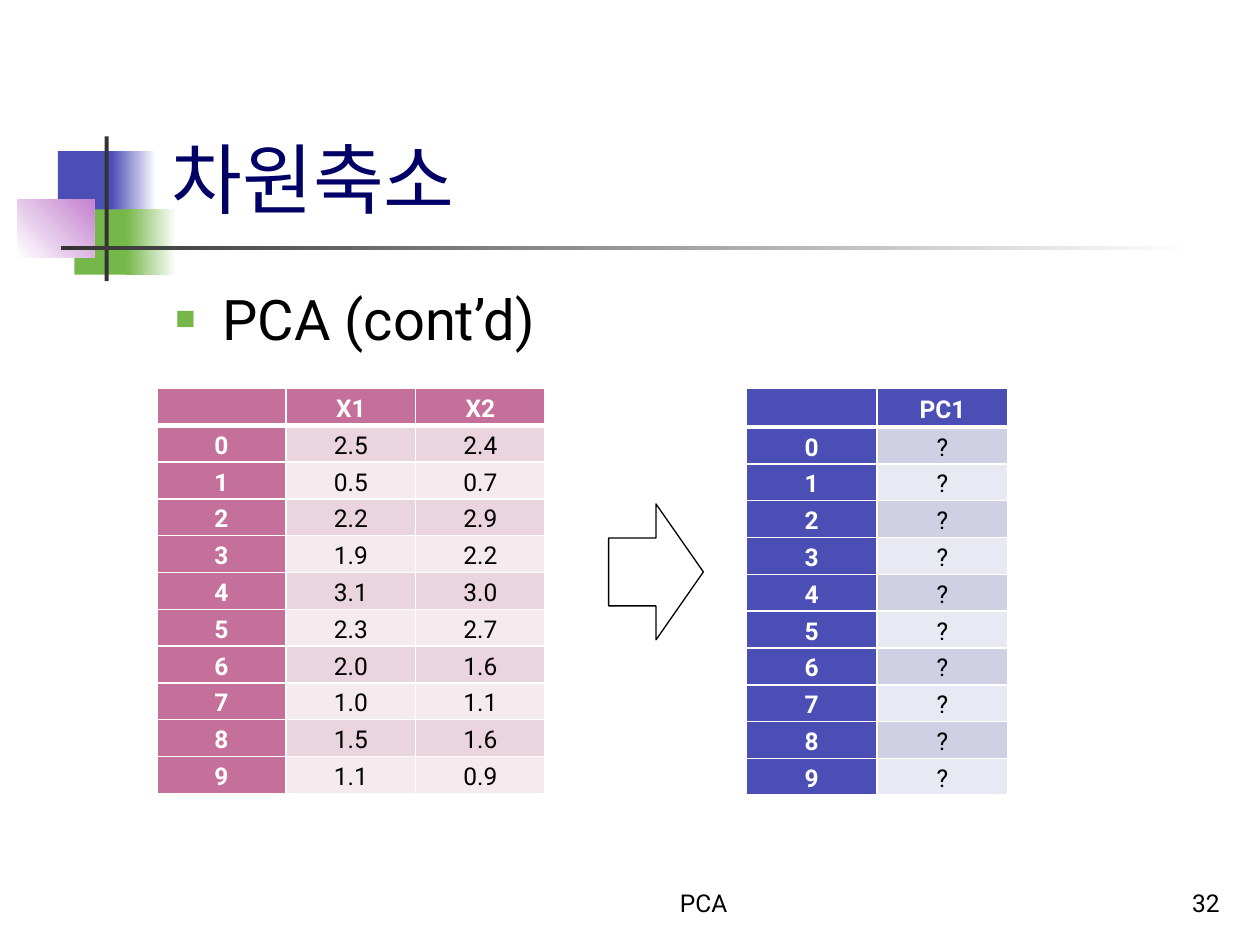
import pptx
import pptx.util
import pptx.dml.color
import pptx.enum.shapes
import pptx.enum.text
import pptx.oxml
import pptx.oxml.ns
from lxml import etree

Cm = pptx.util.Cm
Pt = pptx.util.Pt
qn = pptx.oxml.ns.qn
Shape = pptx.enum.shapes.MSO_SHAPE
Align = pptx.enum.text.PP_ALIGN
Anchor = pptx.enum.text.MSO_ANCHOR

BLUE, GREEN, ROSE, LILAC = "4B4EB5", "76B749", "C4709A", "C481CF"
NAVY, DARK, BLACK, WHITE = "000066", "333333", "000000", "FFFFFF"


def color(text):
    return pptx.dml.color.RGBColor.from_string(text)


def border(cell, side, width):
    line = etree.SubElement(cell._tc.get_or_add_tcPr(), qn("a:ln" + side),
                            w=str(Pt(width)))
    fill = etree.SubElement(line, qn("a:solidFill"))
    etree.SubElement(fill, qn("a:srgbClr"), val=WHITE)


class Deck:
    """Holds the font and the current slide."""

    def __init__(self, font):
        self.font = font
        self.file = pptx.Presentation()
        self.file.slide_width = Cm(25.4)
        self.file.slide_height = Cm(19.05)
        self.slide = self.file.slides.add_slide(self.file.slide_layouts[1])

    def style(self, para, text, size, ink, align=Align.LEFT, bold=False):
        """Fill a paragraph with formatted text."""
        para.text = text
        para.alignment = align
        for run in para.runs:
            run.font.name = self.font
            run.font.size = Pt(size)
            run.font.bold = bold
            run.font.color.rgb = color(ink)

    def place(self, holder, box):
        holder.left, holder.top, holder.width, holder.height = map(Cm, box)
        holder.text_frame.auto_size = pptx.enum.text.MSO_AUTO_SIZE.NONE

    def title(self, text, box):
        holder = self.slide.shapes.title
        self.place(holder, box)
        holder.text_frame.vertical_anchor = Anchor.BOTTOM
        self.style(holder.text_frame.paragraphs[0], text, 44, NAVY)

    def body(self, text, box):
        holder = self.slide.placeholders[1]
        self.place(holder, box)
        para = holder.text_frame.paragraphs[0]
        self.style(para, text, 32, BLACK)
        props = para._p.get_or_add_pPr()
        props.set("marL", str(Cm(0.95)))
        props.set("indent", str(-Cm(0.95)))
        tint = etree.SubElement(props, qn("a:buClr"))
        etree.SubElement(tint, qn("a:srgbClr"), val=GREEN)
        etree.SubElement(props, qn("a:buSzPct"), val="60000")
        etree.SubElement(props, qn("a:buChar"), char="■")

    def label(self, text, box, align):
        frame = self.slide.shapes.add_textbox(*map(Cm, box)).text_frame
        frame.word_wrap = True
        frame.vertical_anchor = Anchor.BOTTOM
        self.style(frame.paragraphs[0], text, 14, BLACK, align)

    def block(self, box, start, end=None, angle=0):
        """Rectangle in one colour, or fading from start to end."""
        shape = self.slide.shapes.add_shape(Shape.RECTANGLE, *map(Cm, box))
        shape.shadow.inherit = False
        shape.line.fill.background()
        if end is None:
            shape.fill.solid()
            shape.fill.fore_color.rgb = color(start)
            return
        shape.fill.gradient()
        shape.fill.gradient_angle = angle
        for stop, tint in zip(shape.fill.gradient_stops, (start, end)):
            stop.color.rgb = color(tint)

    def arrow(self, box):
        shape = self.slide.shapes.add_shape(Shape.RIGHT_ARROW, *map(Cm, box))
        shape.shadow.inherit = False
        shape.fill.background()
        shape.line.color.rgb = color(BLACK)
        shape.line.width = Pt(0.75)

    def cell(self, cell, text, fill, head, edges):
        for side, width in zip("LRTB", edges):
            border(cell, side, width)
        cell.fill.solid()
        cell.fill.fore_color.rgb = color(fill)
        cell.vertical_anchor = Anchor.MIDDLE
        cell.margin_left = cell.margin_right = Cm(0.03)
        cell.margin_top = cell.margin_bottom = Cm(0.03)
        para = cell.text_frame.paragraphs[0]
        self.style(para, text, 14, WHITE if head else BLACK,
                   Align.CENTER, head)
        para.line_spacing = 1.15
        if not text:
            etree.SubElement(para._p, qn("a:endParaRPr"), sz="1400")

    def table(self, rows, left, top, wide, highs, main, bands):
        """Numbered table; highs are the header and row heights."""
        first, rest = highs
        count, cols = len(rows), len(rows[0])
        grid = self.slide.shapes.add_table(
            count, cols, Cm(left), Cm(top), Cm(wide * cols),
            Cm(first + rest * (count - 1))).table
        grid.first_col = True
        for col in grid.columns:
            col.width = Cm(wide)
        for i, row in enumerate(rows):
            grid.rows[i].height = Cm(rest if i else first)
            edges = (1, 1, 3 if i == 1 else 1, 1 if i else 3)
            for j, text in enumerate(row):
                head = i == 0 or j == 0
                fill = main if head else bands[(i - 1) % 2]
                self.cell(grid.cell(i, j), text, fill, head, edges)


def number(head, rows):
    """Put a header on top and a running index in front."""
    return [["", *head]] + [[str(i), *row] for i, row in enumerate(rows)]


def main():
    deck = Deck("Roboto")

    deck.block((1.17, 3.05, 1.22, 1.32), BLUE)
    deck.block((2.24, 3.05, 0.91, 1.32), BLUE, WHITE)
    deck.block((1.5, 4.22, 1.17, 1.32), GREEN)
    deck.block((2.54, 4.22, 1.02, 1.32), GREEN, WHITE)
    deck.block((0.35, 4.02, 1.55, 1.18), WHITE, LILAC, 45)
    deck.block((2.11, 2.75, 0.08, 2.92), DARK)
    deck.block((1.23, 4.95, 22.86, 0.09), DARK, WHITE)

    deck.title("차원축소", (3.2, 0.58, 21.64, 4.06))
    deck.body("PCA (cont’d)", (3.28, 5.61, 21.59, 11.43))
    deck.label("PCA", (10.16, 17.35, 8.05, 1.27), Align.CENTER)
    deck.label("32", (19.56, 17.35, 5.28, 1.27), Align.RIGHT)

    points = [("2.5", "2.4"), ("0.5", "0.7"), ("2.2", "2.9"),
              ("1.9", "2.2"), ("3.1", "3.0"), ("2.3", "2.7"),
              ("2.0", "1.6"), ("1.0", "1.1"), ("1.5", "1.6"),
              ("1.1", "0.9")]
    deck.table(number(("X1", "X2"), points), 3.16, 7.83, 2.61,
               (0.69, 0.69), ROSE, ("EAD5DE", "F5EBEF"))
    deck.table(number(("PC1",), ["?"] * len(points)), 15.04, 7.83, 2.64,
               (0.78, 0.73), BLUE, ("D0D0E5", "E9E9F3"))
    deck.arrow((12.27, 10.16, 1.91, 2.74))

    deck.file.save("out.pptx")


if __name__ == "__main__":
    main()
